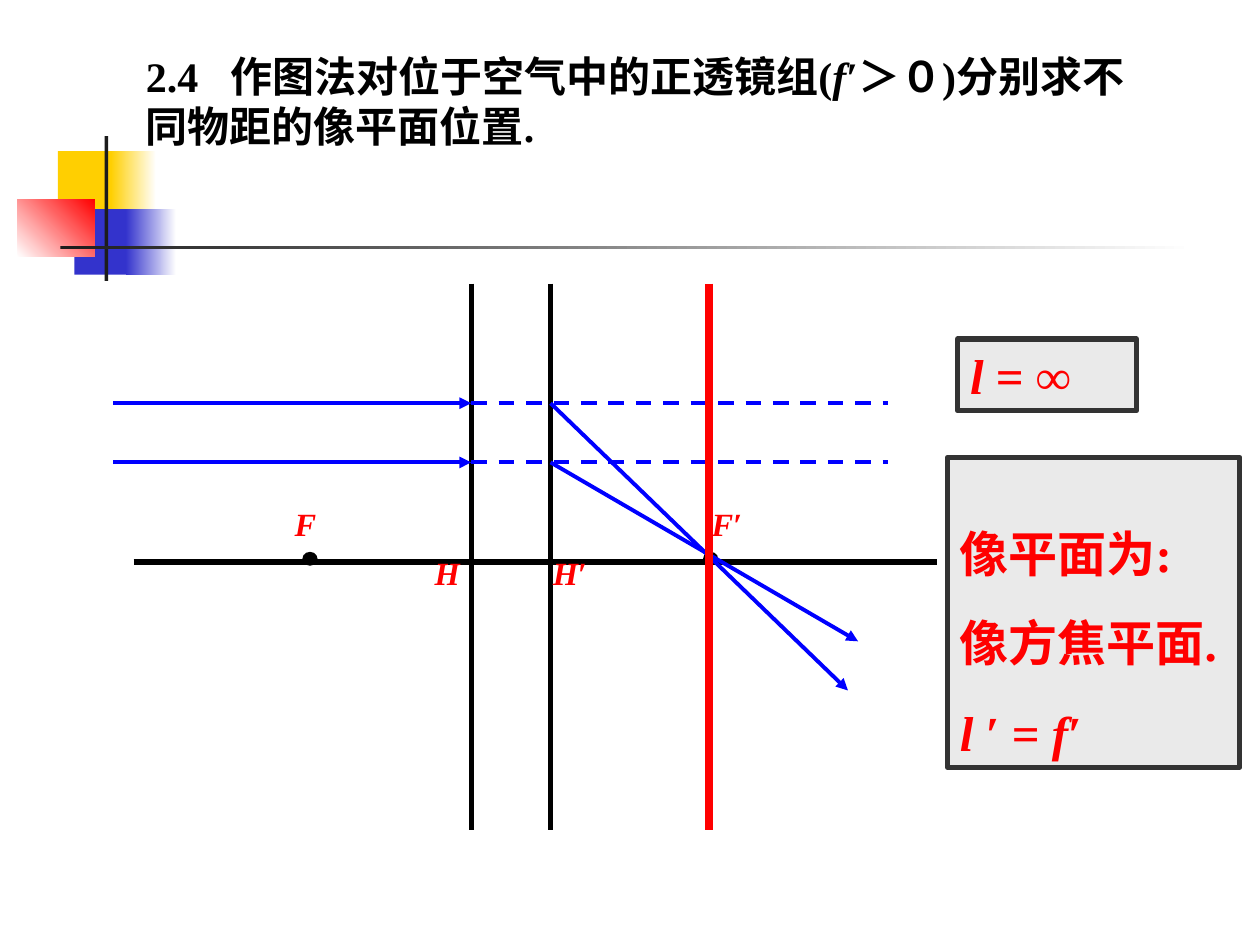
from dataclasses import dataclass

from lxml.etree import SubElement
from pptx import Presentation
from pptx.dml.color import RGBColor
from pptx.enum.dml import MSO_LINE
from pptx.enum.shapes import MSO_CONNECTOR, MSO_SHAPE
from pptx.enum.text import MSO_ANCHOR, PP_ALIGN
from pptx.oxml.ns import qn
from pptx.util import Inches, Pt


@dataclass(frozen=True)
class Theme:
    font: str = "Times New Roman"
    black: str = "000000"
    white: str = "FFFFFF"
    charcoal: str = "1C1C1C"
    yellow: str = "FFCF01"
    indigo: str = "3333CC"
    red: str = "FF0000"
    ray: str = "0000FF"
    panel: str = "EAEAEA"
    border: str = "333333"
    label_size: float = 18.5
    title_size: float = 24
    panel_size: float = 28
    ray_width: float = 2.25
    axis_width: float = 3
    image_plane_width: float = 4.5


class SlideBuilder:
    def __init__(self, slide, theme):
        self.slide = slide
        self.theme = theme

    def shape(self, place, color, kind=MSO_SHAPE.RECTANGLE):
        shape = self.slide.shapes.add_shape(kind, *map(Inches, place))
        shape.shadow.inherit = False
        shape.line.fill.background()
        shape.fill.solid()
        shape.fill.fore_color.rgb = RGBColor.from_string(color)
        return shape

    def gradient(self, place, start, end, angle=0):
        """Fade from start to end; the angle runs counter-clockwise."""
        fill = self.shape(place, start).fill
        fill.gradient()
        fill.gradient_angle = angle
        for stop, position, color in zip(fill.gradient_stops, (0, 1), (start, end)):
            stop.position = position
            stop.color.rgb = RGBColor.from_string(color)

    def line(self, start, end, color, width, dashed=False, arrow=False):
        line = self.slide.shapes.add_connector(
            MSO_CONNECTOR.STRAIGHT, *map(Inches, (*start, *end)))
        line.line.color.rgb = RGBColor.from_string(color)
        line.line.width = Pt(width)
        if dashed:
            line.line.dash_style = MSO_LINE.DASH
        if arrow:
            outline = line._element.spPr.find(qn("a:ln"))
            SubElement(outline, qn("a:tailEnd"), type="triangle")
        SubElement(line._element.spPr, qn("a:effectLst"))

    def add_paragraphs(self, box, paragraphs, size, color, anchor=MSO_ANCHOR.TOP,
                       spacing=1.0, space_before=0, tab=None):
        """Fill a box with paragraphs, each a list of (text, italic) runs."""
        frame = box.text_frame
        frame.word_wrap = True
        frame.vertical_anchor = anchor
        for index, runs in enumerate(paragraphs):
            para = frame.add_paragraph() if index else frame.paragraphs[0]
            para.alignment = PP_ALIGN.LEFT
            para.line_spacing = spacing
            if index:
                para.space_before = Pt(space_before)
            if tab:
                tabs = SubElement(para._p.get_or_add_pPr(), qn("a:tabLst"))
                SubElement(tabs, qn("a:tab"), pos=str(Inches(tab)), algn="l")
            for text, italic in runs:
                span = para.add_run()
                span.text = text
                span.font.name = self.theme.font
                span.font.size = Pt(size)
                span.font.bold = True
                span.font.italic = italic
                span.font.color.rgb = RGBColor.from_string(color)

    def text(self, place, paragraphs, size, color, **layout):
        box = self.slide.shapes.add_textbox(*map(Inches, place))
        self.add_paragraphs(box, paragraphs, size, color, **layout)

    def panel(self, place, paragraphs):
        box = self.shape(place, self.theme.panel)
        box.line.color.rgb = RGBColor.from_string(self.theme.border)
        box.line.width = Pt(self.theme.axis_width)
        self.add_paragraphs(box, paragraphs, self.theme.panel_size, self.theme.red,
                            anchor=MSO_ANCHOR.BOTTOM, space_before=17.5)


def draw_decoration(page):
    theme = page.theme
    page.shape((0.46, 1.2, 0.48, 0.52), theme.yellow)
    page.gradient((0.88, 1.2, 0.36, 0.52), theme.yellow, theme.white)
    page.shape((0.59, 1.66, 0.46, 0.52), theme.indigo)
    page.gradient((1, 1.66, 0.4, 0.52), theme.indigo, theme.white)
    page.gradient((0.14, 1.58, 0.61, 0.46), theme.white, theme.red, angle=45)
    page.shape((0.83, 1.08, 0.03, 1.15), theme.charcoal)
    page.gradient((0.48, 1.95, 9, 0.03), theme.charcoal, theme.white)


def draw_lens_diagram(page):
    theme = page.theme
    front, back, focus = 3.74, 4.37, 5.63
    top, bottom, axis = 2.25, 6.59, 4.46

    page.line((1.06, axis), (7.44, axis), theme.black, theme.axis_width)
    for plane in (front, back):
        page.line((plane, top), (plane, bottom), theme.black, theme.axis_width)
    for left in (2.4, 5.58):
        page.shape((left, 4.38, 0.12, 0.11), theme.black, MSO_SHAPE.OVAL)

    labels = [
        ("H", "", 3.35, 4.38, 0.25),
        ("H", "′", 4.29, 4.38, 0.77),
        ("F", "", 2.24, 3.99, 0.25),
        ("F", "′", 5.55, 3.99, 0.95),
    ]
    for letter, prime, left, label_top, width in labels:
        runs = [(letter, True)] + ([(prime, False)] if prime else [])
        page.text((left, label_top, width, 0.43), [runs],
                  theme.label_size, theme.red, spacing=0.9)

    for height, ray_end in ((3.2, (6.73, 5.48)), (3.67, (6.81, 5.09))):
        page.line((0.9, height), (front, height), theme.ray, theme.ray_width, arrow=True)
        page.line((front, height), (7.05, height), theme.ray, theme.ray_width, dashed=True)
        page.line((back, height), ray_end, theme.ray, theme.ray_width, arrow=True)
    page.line((focus, top), (focus, bottom), theme.red, theme.image_plane_width)


def main():
    deck = Presentation()
    deck.slide_width, deck.slide_height = Inches(10), Inches(7.5)
    theme = Theme()
    page = SlideBuilder(deck.slides.add_slide(deck.slide_layouts[6]), theme)

    draw_decoration(page)
    draw_lens_diagram(page)
    title = [("2.4\t作图法对位于空气中的正透镜组(", False), ("f", True),
             ("′＞０)分别求不同物距的像平面位置.", False)]
    page.text((1.06, 0.35, 8.11, 0.9), [title], theme.title_size, theme.black,
              anchor=MSO_ANCHOR.BOTTOM, tab=0.67)
    page.panel((7.6, 2.69, 1.42, 0.57), [[("l ", True), ("= ∞", False)]])
    page.panel((7.52, 3.63, 2.32, 2.46), [
        [("像平面为:", False)],
        [("像方焦平面.", False)],
        [("l ", True), ("′ = ", False), ("f", True), ("′", False)],
    ])
    deck.save("out.pptx")


if __name__ == "__main__":
    main()
